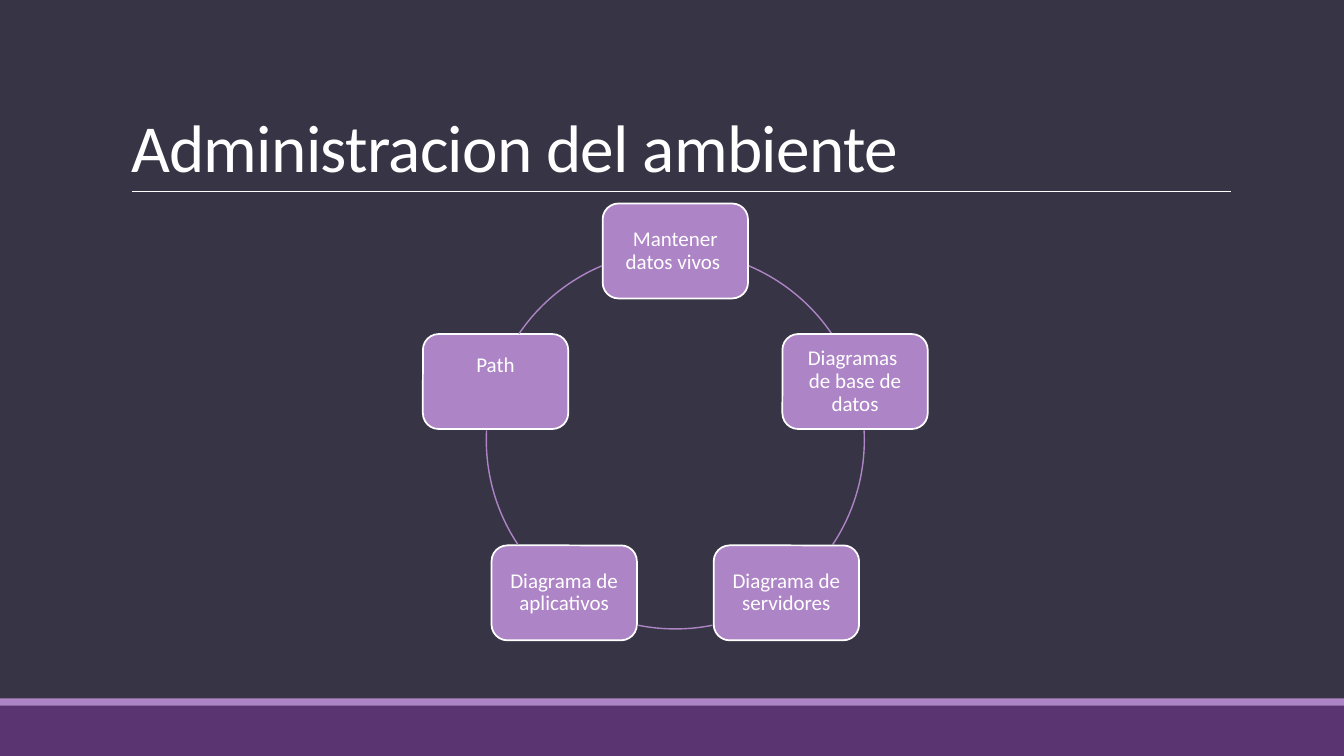
from dataclasses import dataclass
from math import cos, radians, sin

from lxml import etree
from pptx import Presentation
from pptx.dml.color import RGBColor
from pptx.enum.shapes import MSO_CONNECTOR, MSO_SHAPE
from pptx.enum.text import MSO_ANCHOR, MSO_AUTO_SIZE, PP_ALIGN
from pptx.oxml.ns import qn
from pptx.util import Inches, Pt

RECT, ROUNDED, ARC = MSO_SHAPE.RECTANGLE, MSO_SHAPE.ROUNDED_RECTANGLE, MSO_SHAPE.ARC
STRAIGHT = MSO_CONNECTOR.STRAIGHT
MIDDLE, BOTTOM = MSO_ANCHOR.MIDDLE, MSO_ANCHOR.BOTTOM
LEFT, CENTER = PP_ALIGN.LEFT, PP_ALIGN.CENTER

# Square grid cells: 160 columns by 90 rows
COLS = 160
SLIDE_W, SLIDE_H = Inches(13.333), Inches(7.5)


@dataclass(frozen=True)
class Theme:
    background: RGBColor = RGBColor(0x37, 0x35, 0x45)
    dark: RGBColor = RGBColor(0x5A, 0x34, 0x71)
    accent: RGBColor = RGBColor(0xAD, 0x84, 0xC6)
    light: RGBColor = RGBColor(0xFF, 0xFF, 0xFF)
    font: str = "Calibri"
    title_size: float = 48
    node_size: float = 15


@dataclass(frozen=True)
class Node:
    text: str
    bottom_inset: float = 1.2


@dataclass(frozen=True)
class Ring:
    col: float = 80.4
    row: float = 52.38
    radius: float = 22.5
    node_w: float = 17.3
    node_h: float = 11.3


THEME = Theme()
RING = Ring()
NODES = [
    Node("Mantener datos vivos "),
    Node("Diagramas  de base de datos"),
    Node("Diagrama de servidores"),
    Node("Diagrama de aplicativos"),
    Node("Path", bottom_inset=4.9),
]
# Start and end of each visible arc, in degrees clockwise from the right
ARCS = [(292.9, 325.8), (357.1, 33.6), (78.7, 101.3), (146.4, 182.9), (214.2, 247.1)]


def grid(cells: float) -> int:
    return round(SLIDE_W * cells / COLS)


def write(sp, text: str, *, size: float, align=CENTER, anchor=MIDDLE,
          line_spacing: float = 0.9, tracking: int = 0) -> None:
    tf = sp.text_frame
    tf.word_wrap = True
    tf.auto_size = MSO_AUTO_SIZE.NONE
    tf.vertical_anchor = anchor
    p = tf.paragraphs[0]
    p.alignment, p.line_spacing = align, line_spacing
    r = p.add_run()
    r.text = text
    r.font.size, r.font.name = Pt(size), THEME.font
    r.font.color.rgb = THEME.light
    if tracking:
        r.font._element.set("spc", str(tracking))


def add_shape(slide, kind, col: float, row: float, w: float, h: float, *,
              fill=None, line=None, weight: float = 1):
    sp = slide.shapes.add_shape(kind, grid(col), grid(row), grid(w), grid(h))
    sp.shadow.inherit = False
    if fill is None:
        sp.fill.background()
    else:
        sp.fill.solid()
        sp.fill.fore_color.rgb = fill
    if line is None:
        sp.line.fill.background()
    else:
        sp.line.color.rgb, sp.line.width = line, Pt(weight)
    return sp


def add_frame(slide) -> None:
    add_shape(slide, RECT, 0, 84, COLS, 6, fill=THEME.dark)
    add_shape(slide, RECT, 0, 83.16, COLS, 0.84, fill=THEME.accent)
    rule = slide.shapes.add_connector(STRAIGHT, grid(15.72), grid(22.8),
                                      grid(146.52), grid(22.8))
    rule.line.color.rgb, rule.line.width = THEME.light, Pt(0.5)
    etree.SubElement(rule._element.spPr, qn("a:effectLst"))


def add_title(slide, text: str) -> None:
    sp = slide.shapes.title
    sp.left, sp.top, sp.width, sp.height = map(grid, (14.4, 3.72, 132, 19.08))
    write(sp, text, size=THEME.title_size, align=LEFT, anchor=BOTTOM,
          line_spacing=0.85, tracking=-50)


def add_arc(slide, start: float, end: float) -> None:
    sp = add_shape(slide, ARC, RING.col - RING.radius, RING.row - RING.radius,
                   2 * RING.radius, 2 * RING.radius, line=THEME.accent)
    # An angle is stored in 60000ths of a degree, an adjustment in 100000ths
    sp.adjustments[0], sp.adjustments[1] = start * 0.6, end * 0.6


def add_node(slide, node: Node, angle: float) -> None:
    col = RING.col + RING.radius * cos(radians(angle))
    row = RING.row + RING.radius * sin(radians(angle))
    sp = add_shape(slide, ROUNDED, col - RING.node_w / 2, row - RING.node_h / 2,
                   RING.node_w, RING.node_h, fill=THEME.accent,
                   line=THEME.light, weight=1.25)
    tf = sp.text_frame
    tf.margin_left = tf.margin_right = tf.margin_top = grid(1.2)
    tf.margin_bottom = grid(node.bottom_inset)
    write(sp, node.text, size=THEME.node_size)


def main() -> None:
    prs = Presentation()
    prs.slide_width, prs.slide_height = SLIDE_W, SLIDE_H
    slide = prs.slides.add_slide(prs.slide_layouts[5])
    slide.background.fill.solid()
    slide.background.fill.fore_color.rgb = THEME.background

    # Footer bars, rule and title
    add_frame(slide)
    add_title(slide, "Administracion del ambiente")

    # Cycle, clockwise from the top
    for i, (node, (start, end)) in enumerate(zip(NODES, ARCS)):
        add_node(slide, node, -90 + i * 360 / len(NODES))
        add_arc(slide, start, end)

    prs.save("out.pptx")


if __name__ == "__main__":
    main()
